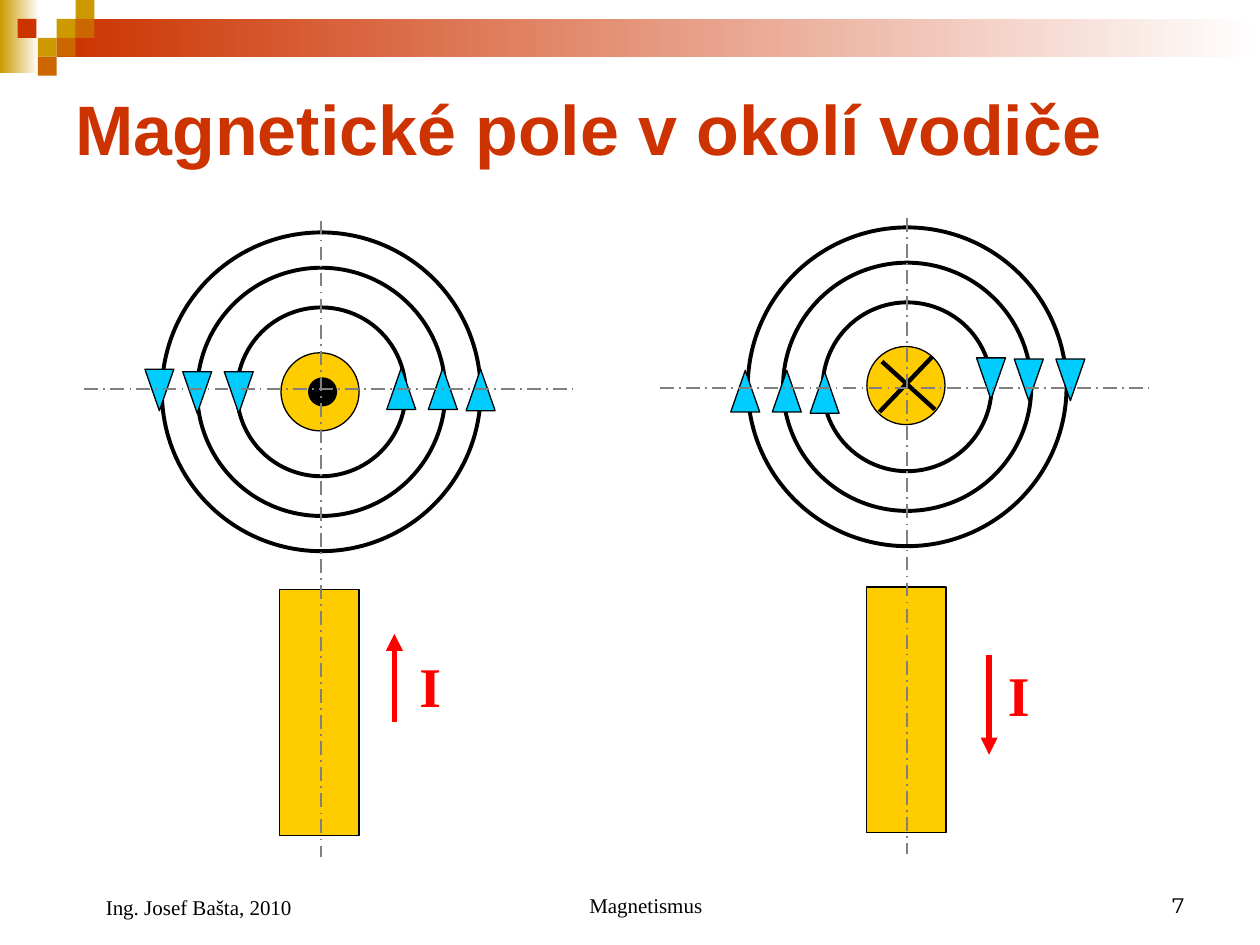
from lxml import etree
from pptx import Presentation, util as u
from pptx.dml.color import RGBColor
from pptx.enum import dml, shapes, text
from pptx.oxml.ns import qn

THEME = {
    "white": "FFFFFF", "black": "000000", "gold": "CC9900", "orange": "CC6600",
    "red": "CC3300", "current": "FF0000", "copper": "FFCC00", "marker": "00CCFF",
    "axis": "808080", "sans": "Arial", "serif": "Times New Roman", "number": "Montserrat",
    "title_size": 40, "label_size": 32, "footer_size": 12,
}

# Content
TITLE = "Magnetické pole v okolí vodiče"
FOOTERS = [  # text, box, alignment, left inset, font
    ("Magnetismus", (3.42, 6.83, 3.17, 0.5), "CENTER", 0.34, "serif"),
    ("7", (7.17, 6.83, 2.33, 0.5), "RIGHT", 0.1, "number"),
    ("Ing. Josef Bašta, 2010", (0.5, 6.83, 2.33, 0.52), "LEFT", 0.34, "serif"),
]
GRADIENT_BARS = [((0, 0, 0.31, 0.58), "gold"), ((0.45, 0.15, 9.55, 0.3), "red")]
SQUARE = 0.15
SQUARES = [  # column, row, colour
    (3, 1, "gold"), (4, 0, "gold"), (4, 1, "orange"), (2, 2, "gold"),
    (0.93, 1, "red"), (3, 2, "orange"), (2, 3, "orange"),
]
RING_DIAMETERS = [1.34, 1.97, 2.53]
CORE = 0.62
DOT = 0.22
MARKER = (0.23, 0.33)
ROD = (0.63, 1.95)
AXIS_REACH = (1.94, 5.05)  # half width, full height
FIGURES = [
    {"centre": (2.55, 3.11), "core": (2.23, 2.8), "axes": (2.55, 3.09, 1.75), "axis_middle": 2.61,
     "rod": (2.22, 4.68), "dot": (2.45, 3), "cross": [],
     "up": [(3.07, 2.92), (3.4, 2.92), (3.7, 2.93)],
     "down": [(1.78, 2.95), (1.45, 2.95), (1.15, 2.93)],
     "arrow": ((3.13, 5.73), (3.13, 5.03)), "label": (3.23, 5.12)},
    {"centre": (7.2, 3.07), "core": (6.88, 2.75), "axes": (7.2, 3.08, 1.73), "axis_middle": 7.18,
     "rod": (6.88, 4.66), "dot": None,
     "cross": [((7, 2.87), (7.42, 3.25)), ((6.98, 3.27), (7.4, 2.83))],
     "up": [(5.8, 2.94), (6.13, 2.94), (6.43, 2.95)],
     "down": [(8.38, 2.85), (8.05, 2.85), (7.75, 2.84)],
     "arrow": ((7.85, 5.2), (7.85, 5.99)), "label": (7.9, 5.19)},
]


def colour(name):
    return RGBColor.from_string(THEME[name])


def add_shape(slide, kind, box, fill=None, line=None, width=0.75, rotation=0):
    shape = slide.shapes.add_shape(getattr(shapes.MSO_SHAPE, kind), *map(u.Inches, box))
    shape.shadow.inherit = False
    shape.rotation = rotation
    if fill:
        shape.fill.solid()
        shape.fill.fore_color.rgb = colour(fill)
    else:
        shape.fill.background()
    if line:
        shape.line.color.rgb = colour(line)
        shape.line.width = u.Pt(width)
    else:
        shape.line.fill.background()
    return shape


def add_line(slide, start, end, line, width, dash=None, arrow=False):
    connector = slide.shapes.add_connector(
        shapes.MSO_CONNECTOR.STRAIGHT, *map(u.Inches, (*start, *end)))
    connector.line.color.rgb = colour(line)
    connector.line.width = u.Pt(width)
    if dash:
        connector.line.dash_style = dash
    if arrow:
        etree.SubElement(connector.line._get_or_add_ln(), qn("a:tailEnd"), type="triangle")
    etree.SubElement(connector._element.spPr, qn("a:effectLst"))


def add_text(slide, content, box, size, font="serif", fill="black", bold=False,
             align="LEFT", anchor="TOP", inset=0.1):
    frame = slide.shapes.add_textbox(*map(u.Inches, box)).text_frame
    frame.word_wrap = True
    frame.vertical_anchor = getattr(text.MSO_ANCHOR, anchor)
    frame.margin_left = u.Inches(inset)
    paragraph = frame.paragraphs[0]
    paragraph.alignment = getattr(text.PP_ALIGN, align)
    run = paragraph.add_run()
    run.text = content
    run.font.name = THEME[font]
    run.font.size = u.Pt(THEME[size])
    run.font.bold = bold
    run.font.color.rgb = colour(fill)


def add_decoration(slide):
    for box, name in GRADIENT_BARS:
        fill = add_shape(slide, "RECTANGLE", box).fill
        fill.gradient()
        fill.gradient_angle = 180
        for stop, stop_name in zip(fill.gradient_stops, ("white", name)):
            stop.color.rgb = colour(stop_name)
    for column, row, name in SQUARES:
        add_shape(slide, "RECTANGLE", (column * SQUARE, row * SQUARE, SQUARE, SQUARE), name)


def add_figure(slide, figure):
    # Field lines with direction markers
    x, y = figure["centre"]
    for diameter in RING_DIAMETERS:
        box = (x - diameter / 2, y - diameter / 2, diameter, diameter)
        add_shape(slide, "OVAL", box, line="black", width=2.25)
    for direction, rotation in (("up", 0), ("down", 180)):
        for corner in figure[direction]:
            add_shape(slide, "ISOSCELES_TRIANGLE", (*corner, *MARKER), "marker", "black",
                      rotation=rotation)

    # Current arrow and its label
    add_line(slide, *figure["arrow"], "current", 3.25, arrow=True)
    add_text(slide, "I", (*figure["label"], 0.55, 0.64), "label_size", fill="current", bold=True)

    # Conductor in cross-section and side view
    add_shape(slide, "OVAL", (*figure["core"], CORE, CORE), "copper", "black")
    if figure["dot"]:
        add_shape(slide, "OVAL", (*figure["dot"], DOT, DOT), "black", "black")
    for start, end in figure["cross"]:
        add_line(slide, start, end, "black", 2.5)
    add_shape(slide, "RECTANGLE", (*figure["rod"], *ROD), "copper", "black")

    # Centre lines
    axis_x, axis_y, top = figure["axes"]
    reach, height = AXIS_REACH
    middle = figure["axis_middle"]
    for start, end in (((axis_x, top), (axis_x, top + height)),
                       ((middle - reach, axis_y), (middle + reach, axis_y))):
        add_line(slide, start, end, "axis", 1, dash=dml.MSO_LINE.LONG_DASH_DOT)


def main():
    presentation = Presentation()
    presentation.slide_width, presentation.slide_height = u.Inches(10), u.Inches(7.5)
    slide = presentation.slides.add_slide(presentation.slide_layouts[6])
    add_decoration(slide)
    add_text(slide, TITLE, (0.5, 0.5, 9, 1.03), "title_size", font="sans", fill="red",
             bold=True, anchor="MIDDLE")
    for figure in FIGURES:
        add_figure(slide, figure)
    for content, box, align, inset, font in FOOTERS:
        add_text(slide, content, box, "footer_size", font=font, align=align,
                 anchor="BOTTOM", inset=inset)
    presentation.save("out.pptx")


if __name__ == "__main__":
    main()
